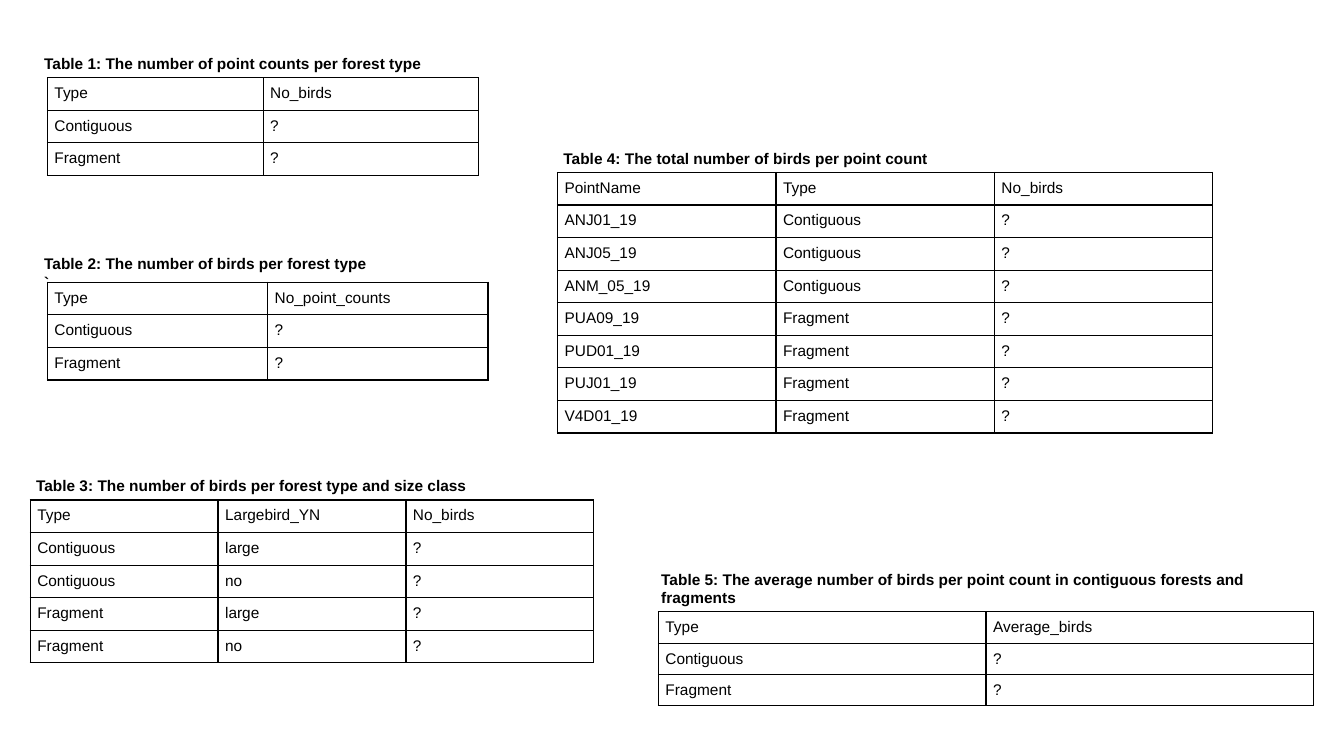
from lxml import etree
from pptx import Presentation
from pptx.dml.color import RGBColor
from pptx.enum import text
from pptx.oxml.ns import qn
from pptx.util import Inches, Pt

COLORS = {"ink": "000000"}
FONT = {"name": "Arial", "size": Pt(11)}
CELL_MARGINS = {f"margin_{side}": Inches(0.07)
                for side in ("left", "right", "top", "bottom")}
TYPES = ("Contiguous", "Fragment")


def set_all(target, values):
    for name, value in values.items():
        setattr(target, name, value)


def style_font(font, bold):
    set_all(font, {**FONT, "bold": bold})
    font.color.rgb = RGBColor.from_string(COLORS["ink"])


def add_borders(cell):
    """Draw a 1 pt line on each side; lines must precede the fill."""
    properties = cell._tc.get_or_add_tcPr()
    for position, side in enumerate(("a:lnL", "a:lnR", "a:lnT", "a:lnB")):
        line = etree.Element(qn(side), w=str(Pt(1)))
        fill = etree.SubElement(line, qn("a:solidFill"))
        etree.SubElement(fill, qn("a:srgbClr"), val=COLORS["ink"])
        properties.insert(position, line)


def add_caption(slide, left, top, width, height, *lines):
    box = slide.shapes.add_textbox(*map(Inches, (left, top, width, height)))
    frame = box.text_frame
    set_all(frame, {"word_wrap": True,
                    "vertical_anchor": text.MSO_ANCHOR.MIDDLE,
                    "text": "\n".join(lines)})
    for paragraph in frame.paragraphs:
        style_font(paragraph.runs[0].font, True)


def add_grid(slide, left, top, width, height, rows):
    size = len(rows), len(rows[0])
    grid = slide.shapes.add_table(
        *size, *map(Inches, (left, top, width, height))).table
    set_all(grid, {"first_row": False, "horz_banding": False})
    for r, values in enumerate(rows):
        for c, value in enumerate(values):
            cell = grid.cell(r, c)
            set_all(cell, {**CELL_MARGINS, "text": value})
            cell.fill.background()
            add_borders(cell)
            style_font(cell.text_frame.paragraphs[0].runs[0].font, False)


def with_unknowns(header, keys):
    """Rows of keys, each ending in the value still to be found."""
    return [header] + [(*key, "?") for key in keys]


def main():
    prs = Presentation()
    set_all(prs, {"slide_width": Inches(13.33), "slide_height": Inches(7.5)})
    slide = prs.slides.add_slide(prs.slide_layouts[6])
    by_type = [(kind,) for kind in TYPES]

    # Table 5: average per point count
    add_grid(slide, 6.53, 6.07, 6.5, 0.93,
             with_unknowns(("Type", "Average_birds"), by_type))
    add_caption(slide, 6.46, 5.6, 6.58, 0.47,
                "Table 5: The average number of birds per point count "
                "in contiguous forests and fragments")

    # Table 4: total per point count
    points = {"Contiguous": ("ANJ01_19", "ANJ05_19", "ANM_05_19"),
              "Fragment": ("PUA09_19", "PUD01_19", "PUJ01_19", "V4D01_19")}
    by_point = [(point, kind) for kind in TYPES for point in points[kind]]
    add_grid(slide, 5.53, 1.71, 6.5, 2.58,
             with_unknowns(("PointName", "Type", "No_birds"), by_point))
    add_caption(slide, 5.49, 1.43, 6.58, 0.29,
                "Table 4: The total number of birds per point count")

    # Table 3: birds per type and size class
    by_size = [(kind, large) for kind in TYPES for large in ("large", "no")]
    add_grid(slide, 0.3, 4.96, 5.59, 1.61,
             with_unknowns(("Type", "Largebird_YN", "No_birds"), by_size))
    add_caption(slide, 0.26, 4.67, 5.23, 0.29,
                "Table 3: The number of birds per forest type and size class")

    # Table 2: birds per type
    add_grid(slide, 0.47, 2.8, 4.37, 0.97,
             with_unknowns(("Type", "No_point_counts"), by_type))
    add_caption(slide, 0.34, 2.47, 4.37, 0.47,
                "Table 2: The number of birds per forest type", "`")

    # Table 1: point counts per type
    add_grid(slide, 0.47, 0.77, 4.28, 0.97,
             with_unknowns(("Type", "No_birds"), by_type))
    add_caption(slide, 0.34, 0.48, 4.37, 0.29,
                "Table 1: The number of point counts per forest type")

    prs.save("out.pptx")


main()
